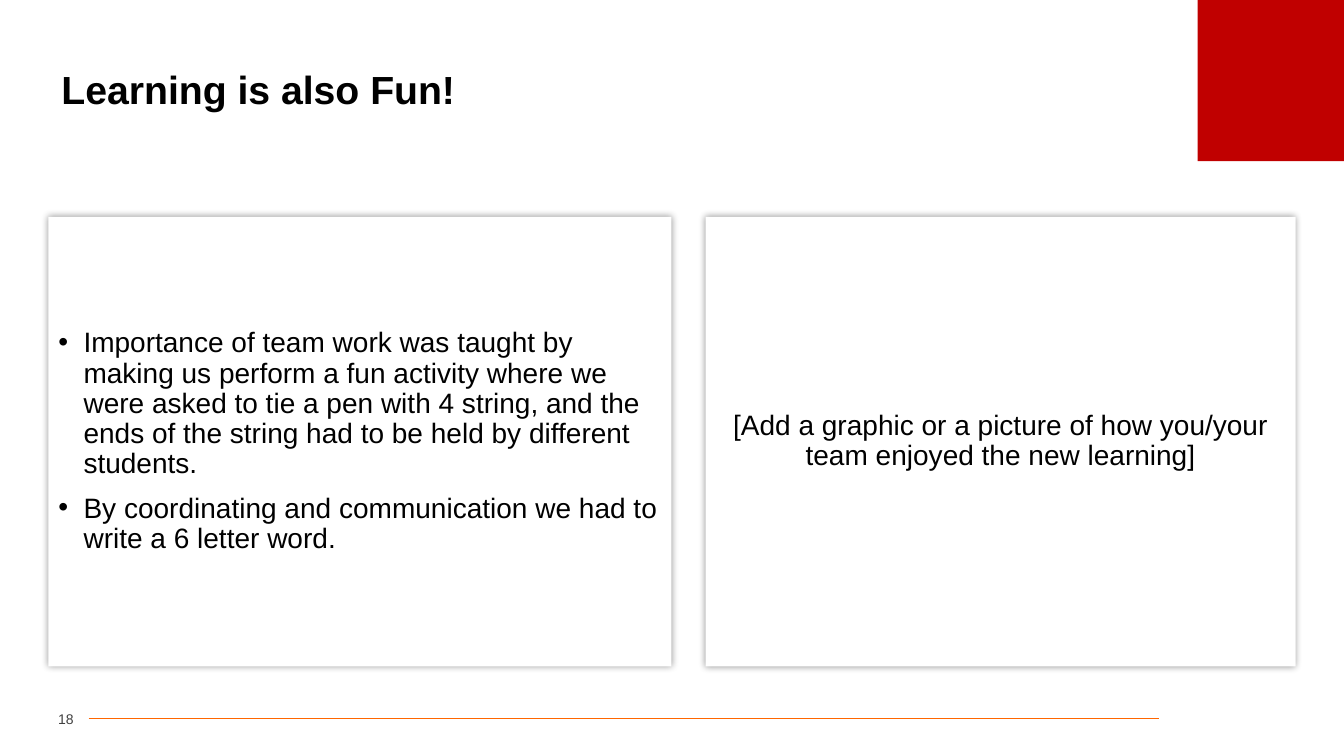
"""Build the "Learning is also Fun!" slide with two shadowed panels."""
from lxml.etree import SubElement
from pptx import Presentation
from pptx.dml.color import RGBColor
from pptx.enum.shapes import MSO_CONNECTOR, MSO_SHAPE
from pptx.enum.text import MSO_ANCHOR, PP_ALIGN
from pptx.oxml.ns import qn
from pptx.util import Inches, Pt

deck = Presentation()
deck.slide_width, deck.slide_height = Inches(13.33), Inches(7.5)
slide = deck.slides.add_slide(deck.slide_layouts[6])
shapes = slide.shapes


def place(*percents):
    """Turn alternating width and height percentages into lengths."""
    sides = (deck.slide_width, deck.slide_height)
    return [round(sides[i % 2] * p / 100) for i, p in enumerate(percents)]


def paint(fill, colour):
    """Give a fill one solid colour."""
    fill.solid()
    fill.fore_color.rgb = RGBColor.from_string(colour)


footer_rule = shapes.add_connector(MSO_CONNECTOR.STRAIGHT, *place(6.6, 95.07, 86.27, 95.07))
paint(footer_rule.line.fill, "FF6600")
footer_rule.line.width = Pt(0.5)
SubElement(footer_rule._element.spPr, qn("a:effectLst"))

corner = shapes.add_shape(MSO_SHAPE.RECTANGLE, *place(89.12, 0, 10.88, 21.33))
corner.shadow.inherit = False
paint(corner.fill, "C00000")
corner.line.fill.background()

labels = [
    ("Learning is also Fun!", (3.83, 6.93, 92.35, 10.4), 28, True, "000000", PP_ALIGN.LEFT, 0.1),
    ("18", (2.48, 93.2, 3, 3.87), 10, False, "404040", PP_ALIGN.RIGHT, 0),
]
for wording, area, size, bold, colour, align, inset in labels:
    label = shapes.add_textbox(*place(*area)).text_frame
    label.word_wrap = True
    label.vertical_anchor = MSO_ANCHOR.MIDDLE
    label.margin_left = label.margin_right = Inches(inset)
    line = label.paragraphs[0]
    line.text = wording
    line.alignment = align
    line.line_spacing = 0.9 if bold else 1.0
    line.font.name, line.font.size, line.font.bold = "Arial", Pt(size), bold
    paint(line.font.fill, colour)

panels = [
    (3.6, 46.36, True, [
        "Importance of team work was taught by making us perform a fun activity where we "
        "were asked to tie a pen with 4 string, and the ends of the string had to be held "
        "by different students.",
        "By coordinating and communication we had to write a 6 letter word.",
    ]),
    (52.51, 43.89, False, [
        "[Add a graphic or a picture of how you/your team enjoyed the new learning]",
    ]),
]
for left, width, bulleted, points in panels:
    panel = shapes.add_shape(MSO_SHAPE.RECTANGLE, *place(left, 28.67, width, 59.47))
    paint(panel.fill, "FFFFFF")
    panel.line.fill.background()
    panel.shadow.inherit = False
    effects = panel._element.spPr.find(qn("a:effectLst"))
    glow = SubElement(effects, qn("a:outerShdw"), blurRad=str(Pt(5)), dist="0", dir="0",
                      algn="ctr", rotWithShape="0")
    tint = SubElement(glow, qn("a:srgbClr"), val="000000")
    SubElement(tint, qn("a:alpha"), val="40000")

    body = panel.text_frame
    body.word_wrap = True
    body.vertical_anchor = MSO_ANCHOR.MIDDLE
    for index, wording in enumerate(points):
        point = body.add_paragraph() if index else body.paragraphs[0]
        point.text = wording
        point.alignment = PP_ALIGN.LEFT if bulleted else PP_ALIGN.CENTER
        point.line_spacing = 0.9
        point.space_before = Pt(10 if index else 0)
        if bulleted:
            layout = point._p.get_or_add_pPr()
            layout.set("marL", str(Inches(0.25)))
            layout.set("indent", str(-Inches(0.25)))
            SubElement(layout, qn("a:buFont"), typeface="Arial")
            SubElement(layout, qn("a:buChar"), char="•")
        point.font.name, point.font.size = "Arial", Pt(20)
        paint(point.font.fill, "000000")

deck.save("out.pptx")
